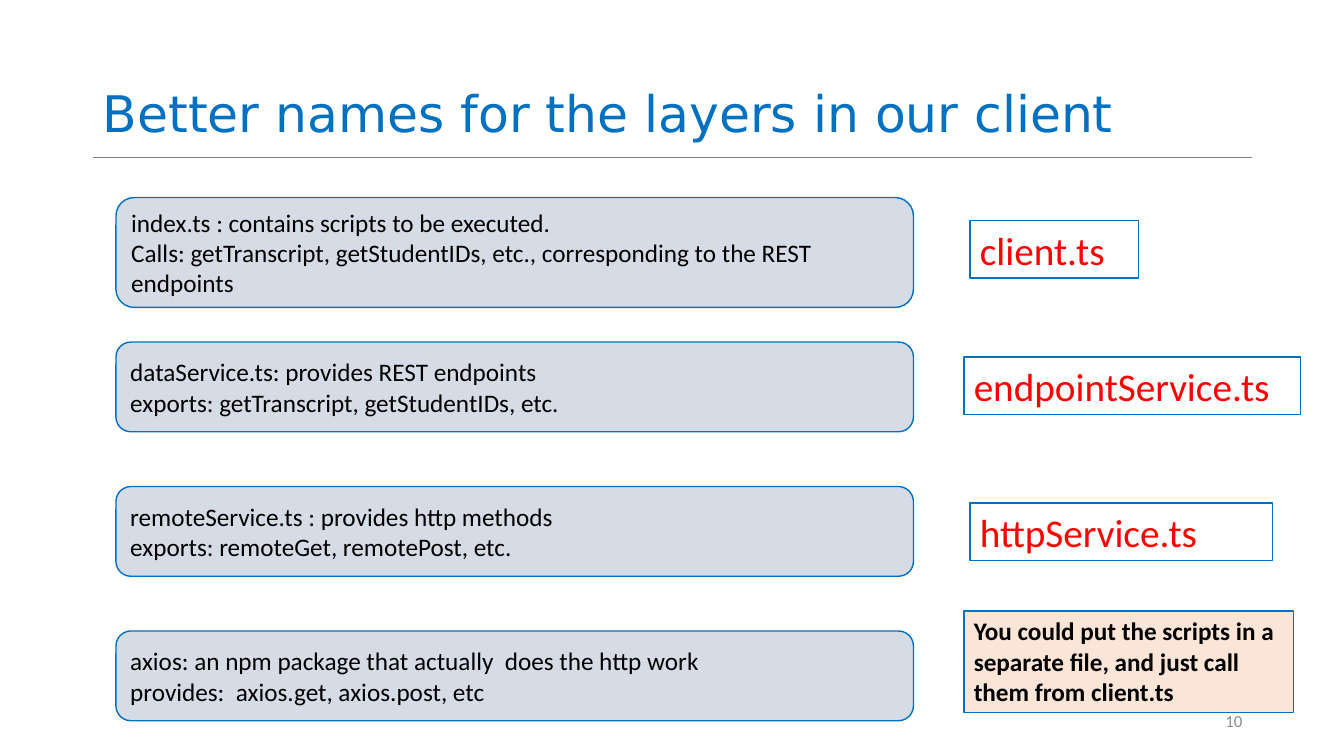
from dataclasses import dataclass

from lxml import etree
from pptx import Presentation
from pptx.dml.color import RGBColor
from pptx.enum import shapes, text
from pptx.oxml.ns import qn
from pptx.util import Inches, Pt

TITLE = "Better names for the layers in our client"
PAGE = "10"
LAYERS = [  # height, lines
    (1.09, ["index.ts : contains scripts to be executed.",
            "Calls: getTranscript, getStudentIDs, etc., corresponding to the REST endpoints"]),
    (0.89, ["dataService.ts: provides REST endpoints",
            "exports: getTranscript, getStudentIDs, etc."]),
    (0.89, ["remoteService.ts : provides http methods",
            "exports: remoteGet, remotePost, etc."]),
    (0.89, ["axios: an npm package that actually  does the http work",
            "provides:  axios.get, axios.post, etc"]),
]
NEW_NAMES = [  # name, left, top, width
    ("client.ts", 9.62, 2.19, 1.67),
    ("endpointService.ts", 9.56, 3.54, 3.34),
    ("httpService.ts", 9.62, 4.99, 3),
]
NOTE = "You could put the scripts in a separate file, and just call them from client.ts"

LAYER_LEFT, LAYER_TOP, LAYER_WIDTH, LAYER_PITCH = 1.15, 1.96, 7.91, 1.4333
NAME_HEIGHT = 0.57


@dataclass(frozen=True)
class Theme:
    title_font: str = "DejaVu Sans"
    body_font: str = "Calibri"
    blue: str = "0070C0"
    red: str = "FF0000"
    black: str = "000000"
    page: str = "8C8C8C"
    rule: str = "7F7F7F"
    layer_fill: str = "D6DCE5"
    note_fill: str = "FBE5D6"
    title_size: int = 36
    name_size: int = 28
    body_size: int = 18
    page_size: int = 12


T = Theme()


def rgb(value):
    return RGBColor.from_string(value)


def write(sp, lines, size=T.body_size, color=T.black, font=T.body_font, bold=False,
          align=text.PP_ALIGN.LEFT, anchor=text.MSO_ANCHOR.MIDDLE, spacing=1.0):
    tf = sp.text_frame
    tf.word_wrap = True
    tf.auto_size = text.MSO_AUTO_SIZE.NONE
    tf.vertical_anchor = anchor
    for i, line in enumerate(lines):
        p = tf.add_paragraph() if i else tf.paragraphs[0]
        p.alignment = align
        p.line_spacing = spacing
        r = p.add_run()
        r.text = line
        r.font.name, r.font.size, r.font.bold = font, Pt(size), bold
        r.font.color.rgb = rgb(color)


def add_box(s, kind, box, lines, fill=None, **fmt):
    sp = s.shapes.add_shape(kind, *map(Inches, box))
    sp.shadow.inherit = False
    if fill:
        sp.fill.solid()
        sp.fill.fore_color.rgb = rgb(fill)
    else:
        sp.fill.background()
    sp.line.color.rgb = rgb(T.blue)
    sp.line.width = Pt(1)
    write(sp, lines, **fmt)


def add_rule(s, x1, x2, y):
    line = s.shapes.add_connector(shapes.MSO_CONNECTOR.STRAIGHT,
                                  Inches(x1), Inches(y), Inches(x2), Inches(y))
    line.line.color.rgb = rgb(T.rule)
    line.line.width = Pt(0.5)
    etree.SubElement(line._element.spPr, qn("a:effectLst"))


def main():
    prs = Presentation()
    prs.slide_width, prs.slide_height = Inches(13.33), Inches(7.5)
    s = prs.slides.add_slide(prs.slide_layouts[5])

    title = s.shapes.title
    title.left, title.top, title.width, title.height = map(Inches, (0.92, 0.02, 11.5, 1.45))
    write(title, [TITLE], size=T.title_size, color=T.blue, font=T.title_font,
          anchor=text.MSO_ANCHOR.BOTTOM, spacing=0.9)
    add_rule(s, 0.92, 12.42, 1.56)

    page = s.shapes.add_textbox(*map(Inches, (9.42, 6.95, 3, 0.4)))
    write(page, [PAGE], size=T.page_size, color=T.page, align=text.PP_ALIGN.RIGHT)

    for i, (height, lines) in enumerate(LAYERS):
        box = LAYER_LEFT, LAYER_TOP + i * LAYER_PITCH, LAYER_WIDTH, height
        add_box(s, shapes.MSO_SHAPE.ROUNDED_RECTANGLE, box, lines, fill=T.layer_fill)
    for name, left, top, width in NEW_NAMES:
        add_box(s, shapes.MSO_SHAPE.RECTANGLE, (left, top, width, NAME_HEIGHT), [name],
                size=T.name_size, color=T.red)
    add_box(s, shapes.MSO_SHAPE.RECTANGLE, (9.56, 6.06, 3.27, 1.01), [NOTE],
            fill=T.note_fill, bold=True, anchor=text.MSO_ANCHOR.TOP)

    prs.save("out.pptx")


if __name__ == "__main__":
    main()
